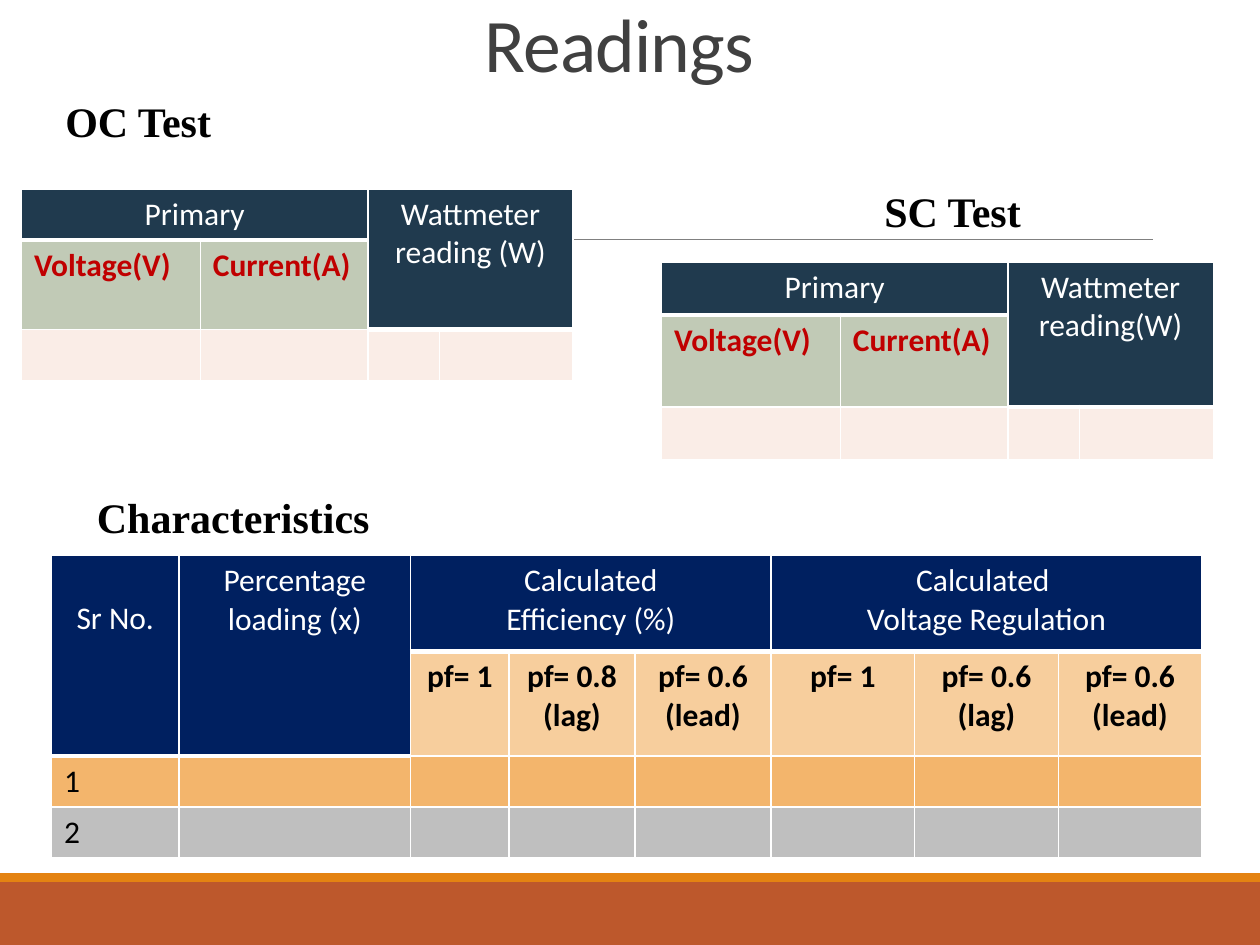
from dataclasses import dataclass

from lxml.etree import SubElement
from pptx import Presentation
from pptx.dml.color import RGBColor
from pptx.enum.shapes import MSO_CONNECTOR, MSO_SHAPE
from pptx.enum.text import MSO_ANCHOR, MSO_AUTO_SIZE, PP_ALIGN
from pptx.oxml import parse_xml
from pptx.oxml.ns import nsdecls, qn
from pptx.slide import Slide
from pptx.table import _Cell
from pptx.text.text import TextFrame
from pptx.util import Inches, Pt

WHITE, BLACK, RED = "FFFFFF", "000000", "C00000"
NAVY, SLATE, SAGE, BLUSH = "002060", "203A4E", "C1CAB6", "FAEDE7"
PEACH, ORANGE, GRAY = "F7CE9D", "F3B56C", "BFBFBF"


@dataclass
class Entry:
    """A filled-in table cell, with the number of rows and columns it spans."""
    row: int
    column: int
    text: str
    color: str = WHITE
    bold: bool = False
    align: PP_ALIGN = PP_ALIGN.CENTER
    rows: int = 1
    columns: int = 1
    header: bool = False
    top_margin: float = 0.05


@dataclass
class Grid:
    left: float
    top: float
    widths: list[float]
    heights: list[float]
    row_fills: list[str]
    header_fill: str
    entries: list[Entry]


@dataclass
class Heading:
    text: str
    left: float
    top: float
    width: float


def rgb(color: str) -> RGBColor:
    return RGBColor.from_string(color)


def format_text(frame: TextFrame, font: str, size: float, color: str,
                bold: bool = False, align: PP_ALIGN = PP_ALIGN.LEFT) -> None:
    for paragraph in frame.paragraphs:
        paragraph.alignment = align
        for run in paragraph.runs:
            run.font.name = font
            run.font.size = Pt(size)
            run.font.bold = bold
            run.font.color.rgb = rgb(color)


def set_borders(cell: _Cell, bottom: float = 1) -> None:
    """Draw white borders, 1 pt wide except where the bottom differs."""
    properties = cell._tc.get_or_add_tcPr()
    widths = {"lnL": 1, "lnR": 1, "lnT": 1, "lnB": bottom}
    for position, (tag, width) in enumerate(widths.items()):
        for old in properties.findall(qn(f"a:{tag}")):
            properties.remove(old)
        properties.insert(position, parse_xml(
            f'<a:{tag} {nsdecls("a")} w="{Pt(width)}"><a:solidFill>'
            f'<a:srgbClr val="{WHITE}"/></a:solidFill></a:{tag}>'))


def add_grid(slide: Slide, grid: Grid) -> None:
    table = slide.shapes.add_table(
        len(grid.heights), len(grid.widths), Inches(grid.left), Inches(grid.top),
        Inches(sum(grid.widths)), Inches(sum(grid.heights))).table
    table.first_row = table.horz_banding = False
    for column, width in zip(table.columns, grid.widths):
        column.width = Inches(width)
    for row, height, fill in zip(table.rows, grid.heights, grid.row_fills):
        row.height = Inches(height)
        for cell in row.cells:
            cell.fill.solid()
            cell.fill.fore_color.rgb = rgb(fill)
            set_borders(cell)
    for entry in grid.entries:
        cell = table.cell(entry.row, entry.column)
        if entry.rows * entry.columns > 1:
            cell.merge(table.cell(entry.row + entry.rows - 1,
                                  entry.column + entry.columns - 1))
        if entry.header:
            cell.fill.fore_color.rgb = rgb(grid.header_fill)
            set_borders(cell, bottom=3)
        cell.margin_top = Inches(entry.top_margin)
        cell.text_frame.text = entry.text
        format_text(cell.text_frame, "Calibri", 18, entry.color, entry.bold, entry.align)


def test_grid(left: float, top: float, heights: list[float], wattmeter: str) -> Grid:
    left_align = PP_ALIGN.LEFT
    return Grid(left, top, [1.42, 1.33, 0.57, 1.06], heights,
                [SLATE, SAGE, BLUSH], SLATE, [
                    Entry(0, 0, "Primary", columns=2, header=True),
                    Entry(0, 2, wattmeter, rows=2, columns=2, header=True),
                    Entry(1, 0, "Voltage(V)", RED, True, left_align),
                    Entry(1, 1, "Current(A)", RED, True, left_align)])


def characteristics_grid() -> Grid:
    power_factors = ["pf= 1", "pf= 0.8\n(lag)", "pf= 0.6\n(lead)",
                     "pf= 1", "pf= 0.6\n(lag)", "pf= 0.6\n(lead)"]
    entries = [
        Entry(0, 0, "Sr No.", rows=2, header=True, top_margin=0.35),
        Entry(0, 1, "Percentage loading (x)", rows=2, header=True),
        Entry(0, 2, "Calculated\nEfficiency (%)", columns=3, header=True),
        Entry(0, 5, "Calculated \nVoltage Regulation", columns=3, header=True)]
    entries += [Entry(1, column, text, BLACK, True)
                for column, text in enumerate(power_factors, start=2)]
    entries += [Entry(number + 1, 0, str(number), BLACK, align=PP_ALIGN.LEFT)
                for number in (1, 2)]
    return Grid(0.41, 4.41, [1.01, 1.84, 0.78, 1, 1.08, 1.14, 1.14, 1.14],
                [0.76, 0.83, 0.4, 0.4], [NAVY, PEACH, ORANGE, GRAY], NAVY, entries)


def add_heading(slide: Slide, heading: Heading) -> None:
    box = slide.shapes.add_textbox(Inches(heading.left), Inches(heading.top),
                                   Inches(heading.width), Inches(0.5))
    frame = box.text_frame
    frame.word_wrap = False
    frame.auto_size = MSO_AUTO_SIZE.SHAPE_TO_FIT_TEXT
    frame.text = heading.text
    format_text(frame, "Times New Roman", 24, BLACK, bold=True)


def add_band(slide: Slide, top: float, height: float, color: str) -> None:
    band = slide.shapes.add_shape(MSO_SHAPE.RECTANGLE, 0, Inches(top),
                                  Inches(10), Inches(height))
    band.shadow.inherit = False
    band.fill.solid()
    band.fill.fore_color.rgb = rgb(color)
    band.line.fill.background()


def add_rule(slide: Slide) -> None:
    rule = slide.shapes.add_connector(MSO_CONNECTOR.STRAIGHT, Inches(0.98), Inches(1.9),
                                      Inches(9.15), Inches(1.9))
    rule.line.color.rgb = rgb("808080")
    rule.line.width = Pt(0.5)
    SubElement(rule._element.spPr, qn("a:effectLst"))


def format_title(slide: Slide) -> None:
    title = slide.shapes.title
    title.left, title.top = Inches(0.83), Inches(0.22)
    title.width, title.height = Inches(8.17), Inches(0.53)
    frame = title.text_frame
    frame.text = "Readings"
    frame.auto_size = MSO_AUTO_SIZE.NONE
    frame.vertical_anchor = MSO_ANCHOR.BOTTOM
    format_text(frame, "Calibri", 43.2, "404040", align=PP_ALIGN.CENTER)
    paragraph = frame.paragraphs[0]
    paragraph.line_spacing = 0.85
    paragraph.runs[0].font._element.set("spc", "-50")


def main() -> None:
    presentation = Presentation()
    presentation.slide_width, presentation.slide_height = Inches(10), Inches(7.5)
    slide = presentation.slides.add_slide(presentation.slide_layouts[5])
    add_band(slide, 7, 0.5, "BD582C")
    add_band(slide, 6.93, 0.07, "E48312")
    add_rule(slide)
    format_title(slide)
    for grid in (test_grid(5.25, 2.08, [0.42, 0.73, 0.42], "Wattmeter reading(W)"),
                 characteristics_grid(),
                 test_grid(0.17, 1.5, [0.4, 0.7, 0.4], "Wattmeter reading (W)")):
        add_grid(slide, grid)
    for heading in (Heading("OC Test", 0.42, 0.71, 1.37),
                    Heading("Characteristics", 0.67, 3.85, 2.39),
                    Heading("SC Test", 6.92, 1.42, 1.3)):
        add_heading(slide, heading)
    presentation.save("out.pptx")


if __name__ == "__main__":
    main()
